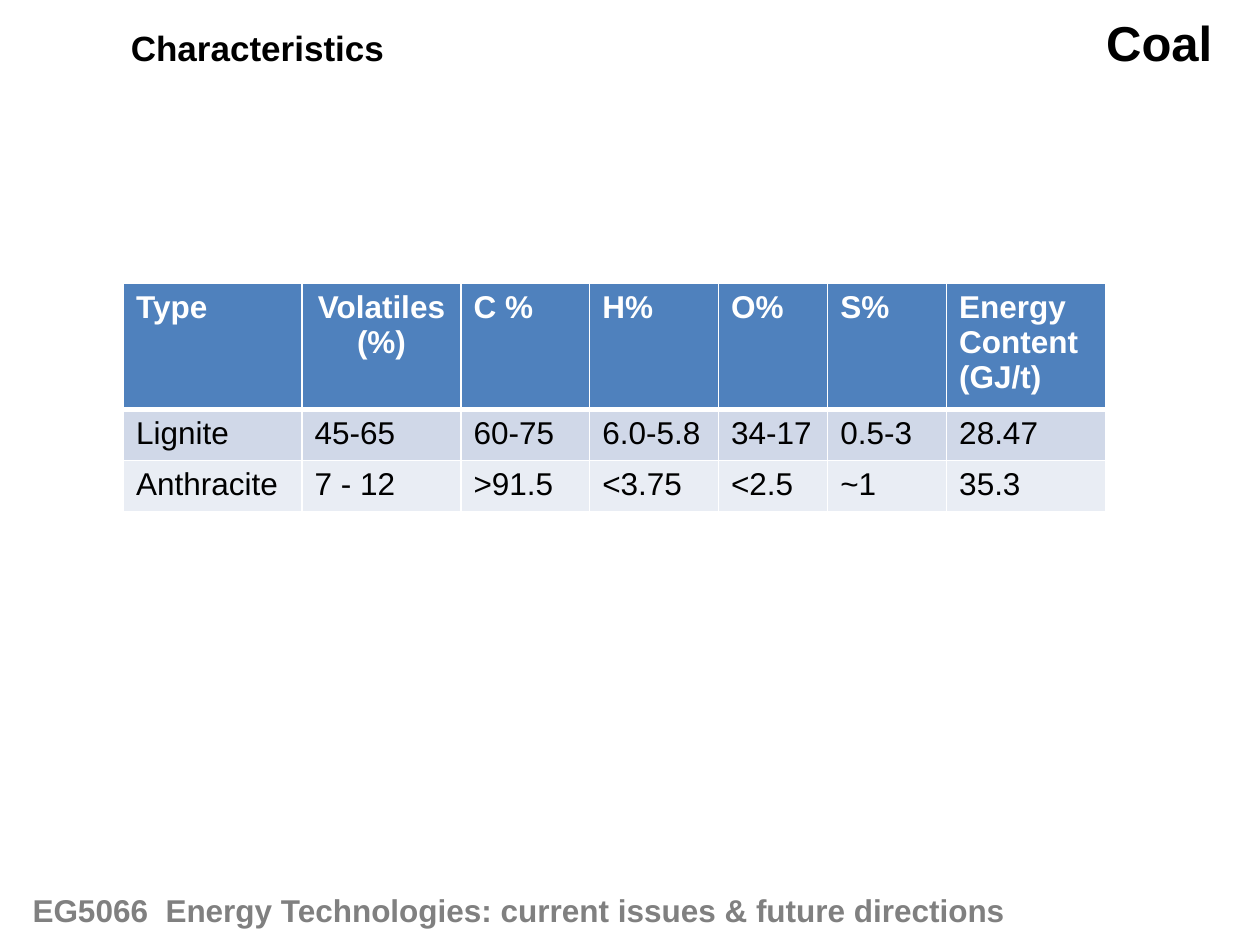
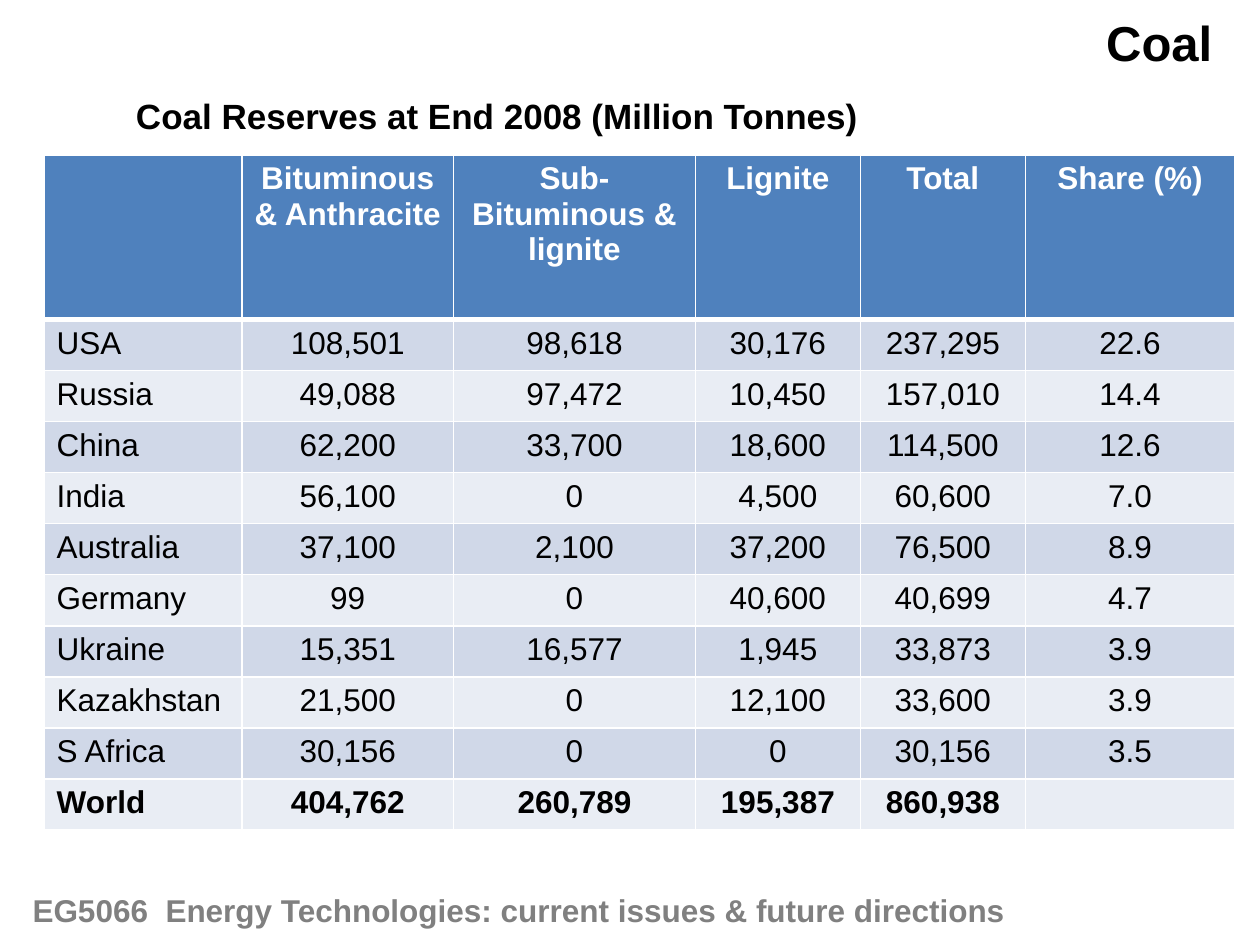
"""Build two slides on coal: its characteristics and its reserves."""
from itertools import product
from lxml import etree
from pptx import Presentation
from pptx.dml.color import RGBColor
from pptx.enum import text as t
from pptx.oxml import ns
from pptx.util import Pt

FONT = "Arial"
BLACK, WHITE, GREY = "000000", "FFFFFF", "808080"
HEAD, BANDS = "4F81BD", ("D0D8E8", "E9EDF4")
TOPIC = "Coal"
COURSE = "EG5066  Energy Technologies: current issues & future directions"
ROW = 29.2

TYPES = [
    ("Type", "Volatiles\n(%)", "C %", "H%", "O%", "S%", "Energy Content\n(GJ/t)"),
    ("Lignite", "45-65", "60-75", "6.0-5.8", "34-17", "0.5-3", "28.47"),
    ("Anthracite", "7 - 12", ">91.5", "<3.75", "<2.5", "~1", "35.3"),
]
STOCKS = [
    ("", "Bituminous & Anthracite", "Sub-Bituminous & lignite", "Lignite", "Total", "Share (%)"),
    ("USA", "108,501", "98,618", "30,176", "237,295", "22.6"),
    ("Russia", "49,088", "97,472", "10,450", "157,010", "14.4"),
    ("China", "62,200", "33,700", "18,600", "114,500", "12.6"),
    ("India", "56,100", "0", "4,500", "60,600", "7.0"),
    ("Australia", "37,100", "2,100", "37,200", "76,500", "8.9"),
    ("Germany", "99", "0", "40,600", "40,699", "4.7"),
    ("Ukraine", "15,351", "16,577", "1,945", "33,873", "3.9"),
    ("Kazakhstan", "21,500", "0", "12,100", "33,600", "3.9"),
    ("S Africa", "30,156", "0", "0", "30,156", "3.5"),
    ("World", "404,762", "260,789", "195,387", "860,938", ""),
]
SLIDES = [
    dict(title="Characteristics", box=(67.7, 11.5, 160.5, 31.7),
         rows=TYPES, at=(70.6, 162), top=67, bold={0}, mid={(0, 1)},
         cols=(102, 90.8, 73.6, 73.6, 62.4, 68, 90.8)),
    dict(title="Coal Reserves at End 2008 (Million Tonnes)", box=(70.6, 50.4, 430.5, 31.7),
         rows=STOCKS, at=(25.2, 88.6), top=93.8, bold={0, len(STOCKS) - 1},
         mid=set(product(range(len(STOCKS)), range(1, 6))),
         cols=(113, 121, 138.2, 94.3, 94.3, 119.6)),
]


def color(code):
    return RGBColor.from_string(code)


def write(frame, words, size=18, ink=BLACK, bold=True, align=t.PP_ALIGN.LEFT):
    for i, line in enumerate(words.split("\n")):
        para = frame.add_paragraph() if i else frame.paragraphs[0]
        para.alignment = align
        if line:
            run = para.add_run()
            run.text = line
            font = run.font
            font.name, font.size, font.bold = FONT, Pt(size), bold
            font.color.rgb = color(ink)


def label(slide, words, box, wrap=False, **style):
    frame = slide.shapes.add_textbox(*map(Pt, box)).text_frame
    frame.word_wrap = wrap
    frame.auto_size = t.MSO_AUTO_SIZE.SHAPE_TO_FIT_TEXT
    write(frame, words, **style)


def edge(cell, side, width):
    props = cell._tc.get_or_add_tcPr()
    line = etree.SubElement(props, ns.qn("a:ln" + side), w=str(Pt(width)))
    fill = etree.SubElement(line, ns.qn("a:solidFill"))
    etree.SubElement(fill, ns.qn("a:srgbClr"), val=WHITE)


def grid(slide, rows, at, cols, top, bold, mid):
    high = [top] + [ROW] * (len(rows) - 1)
    size = sum(cols), sum(high)
    table = slide.shapes.add_table(len(rows), len(cols), *map(Pt, at + size)).table
    for col, width in zip(table.columns, cols):
        col.width = Pt(width)
    for row, height in zip(table.rows, high):
        row.height = Pt(height)
    for r, c in product(range(len(rows)), range(len(cols))):
        cell = table.cell(r, c)
        for side in "LRTB":
            thick = (r, side) in ((0, "B"), (1, "T"))
            edge(cell, side, 3 if thick else 1)
        cell.fill.solid()
        cell.fill.fore_color.rgb = color(BANDS[(r - 1) % 2] if r else HEAD)
        write(cell.text_frame, rows[r][c], ink=BLACK if r else WHITE, bold=r in bold,
              align=t.PP_ALIGN.CENTER if (r, c) in mid else t.PP_ALIGN.LEFT)


def main():
    deck = Presentation()
    deck.slide_width, deck.slide_height = Pt(720), Pt(540)
    for page in SLIDES:
        slide = deck.slides.add_slide(deck.slide_layouts[6])
        label(slide, page["title"], page["box"], size=20)
        label(slide, COURSE, (11.5, 505.4, 618.5, 29), wrap=True, ink=GREY)
        label(slide, TOPIC, (624.2, 3.6, 75.6, 41), size=28, align=t.PP_ALIGN.RIGHT)
        keys = "rows", "at", "cols", "top", "bold", "mid"
        grid(slide, *(page[key] for key in keys))
    deck.save("out.pptx")


if __name__ == "__main__":
    main()
